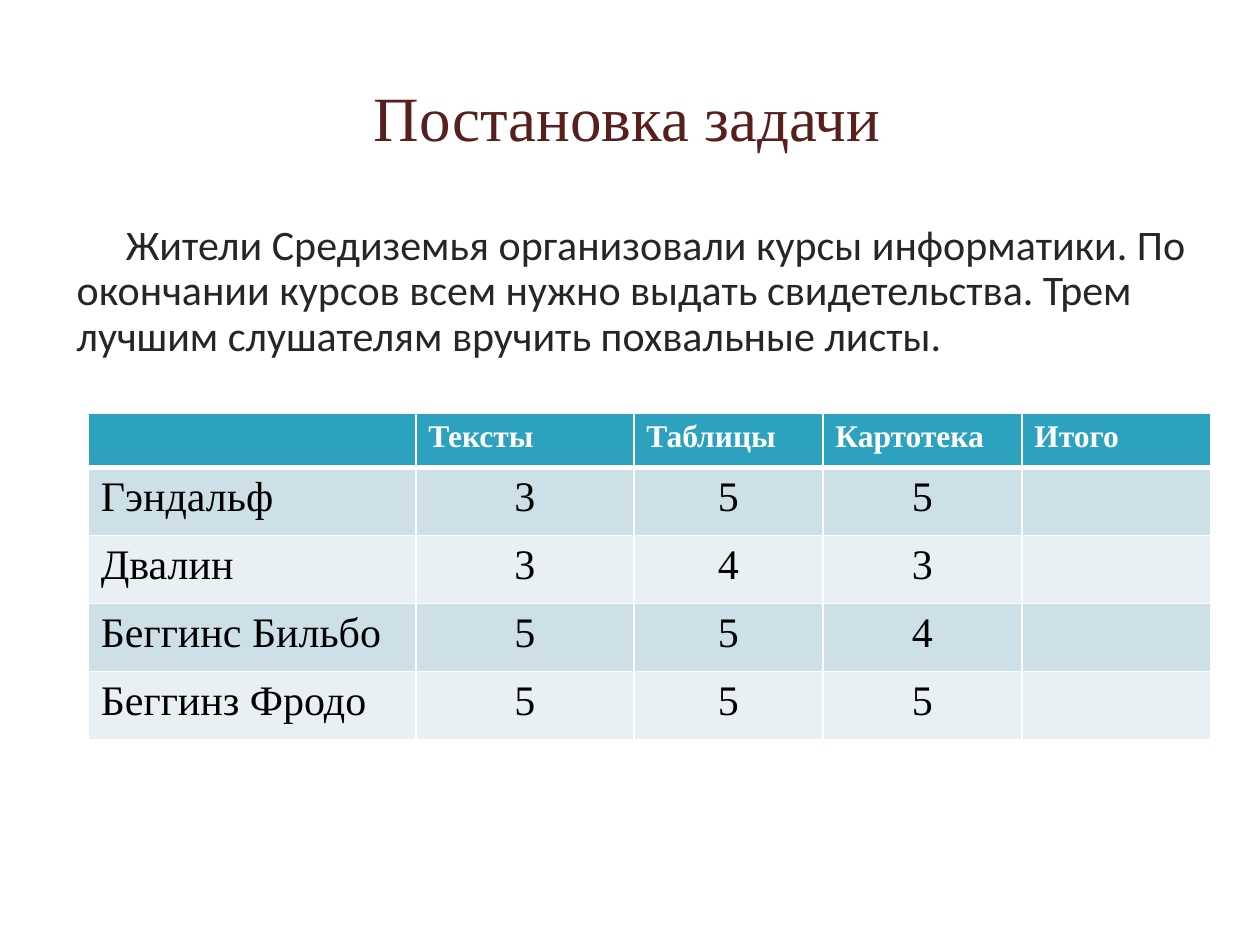
from dataclasses import dataclass

import lxml.etree
import pptx
import pptx.dml.color
import pptx.enum.text
import pptx.oxml.ns
import pptx.util

ALIGN = pptx.enum.text.PP_ALIGN
ANCHOR = pptx.enum.text.MSO_ANCHOR
SLIDE_WIDTH, SLIDE_HEIGHT = pptx.util.Inches(10), pptx.util.Inches(7.5)


@dataclass(frozen=True)
class Theme:
    heading_font: str = "Times New Roman"
    body_font: str = "Calibri"
    title_size: float = 36
    text_size: float = 24
    header_size: float = 18
    title: str = "57201F"
    text: str = "262626"
    header_text: str = "FFFFFF"
    score_text: str = "000000"
    header_fill: str = "2DA2BF"
    bands: tuple[str, str] = ("CDE0E8", "E8F0F4")
    border: str = "FFFFFF"
    thin: float = 1
    thick: float = 3


@dataclass(frozen=True)
class Area:
    """A rectangle in percent of the slide's width and height."""
    left: float
    top: float
    width: float
    height: float

    def emu(self) -> tuple[int, int, int, int]:
        return (int(SLIDE_WIDTH * self.left / 100), int(SLIDE_HEIGHT * self.top / 100),
                int(SLIDE_WIDTH * self.width / 100), int(SLIDE_HEIGHT * self.height / 100))


@dataclass(frozen=True)
class TextStyle:
    font: str
    size: float
    color: str
    bold: bool = False
    align: ALIGN = ALIGN.LEFT


@dataclass(frozen=True)
class Student:
    name: str
    scores: tuple[int, int, int]

    def row(self) -> list[str]:
        return [self.name, *map(str, self.scores), ""]


THEME = Theme()
TITLE = TextStyle(THEME.heading_font, THEME.title_size, THEME.title, align=ALIGN.CENTER)
TASK = TextStyle(THEME.body_font, THEME.text_size, THEME.text)
HEADER = TextStyle(THEME.heading_font, THEME.header_size, THEME.header_text, bold=True)
NAME = TextStyle(THEME.heading_font, THEME.text_size, THEME.score_text)
SCORE = TextStyle(THEME.heading_font, THEME.text_size, THEME.score_text, align=ALIGN.CENTER)

TITLE_AREA = Area(0.8, 4, 98, 16.67)
TASK_AREA = Area(5.1, 23.07, 92.5, 73.47)
TABLE_AREA = Area(7, 43.73, 89.1, 34.53)
COLUMN_SHARES = (26, 17.3, 15, 15.8, 15)
ROW_SHARES = (5.73, 7.2, 7.2, 7.2, 7.2)

COURSES = ["", "Тексты", "Таблицы", "Картотека", "Итого"]
STUDENTS = [
    Student("Гэндальф", (3, 5, 5)),
    Student("Двалин", (3, 4, 3)),
    Student("Беггинс Бильбо", (5, 5, 4)),
    Student("Беггинз Фродо", (5, 5, 5)),
]


def write(frame, text: str, style: TextStyle):
    frame.text = text
    paragraph = frame.paragraphs[0]
    paragraph.alignment = style.align
    for run in paragraph.runs:
        run.font.name = style.font
        run.font.size = pptx.util.Pt(style.size)
        run.font.bold = style.bold
        run.font.color.rgb = pptx.dml.color.RGBColor.from_string(style.color)
    return paragraph


def add_text(slide, area: Area, text: str, style: TextStyle, anchor: ANCHOR):
    frame = slide.shapes.add_textbox(*area.emu()).text_frame
    frame.word_wrap = True
    frame.vertical_anchor = anchor
    return write(frame, text, style)


def set_borders(cell, top: float, bottom: float) -> None:
    qn = pptx.oxml.ns.qn
    properties = cell._tc.get_or_add_tcPr()
    sides = {"lnL": THEME.thin, "lnR": THEME.thin, "lnT": top, "lnB": bottom}
    for side, width in sides.items():
        line = lxml.etree.SubElement(properties, qn(f"a:{side}"), w=str(pptx.util.Pt(width)))
        fill = lxml.etree.SubElement(line, qn("a:solidFill"))
        lxml.etree.SubElement(fill, qn("a:srgbClr"), val=THEME.border)


def add_scores(slide, area: Area, rows: list[list[str]]) -> None:
    table = slide.shapes.add_table(len(rows), len(COLUMN_SHARES), *area.emu()).table
    for column, share in zip(table.columns, COLUMN_SHARES):
        column.width = int(SLIDE_WIDTH * share / 100)
    for row, share in zip(table.rows, ROW_SHARES):
        row.height = int(SLIDE_HEIGHT * share / 100)
    for r, values in enumerate(rows):
        color = THEME.bands[(r - 1) % 2] if r else THEME.header_fill
        for c, value in enumerate(values):
            cell = table.cell(r, c)
            write(cell.text_frame, value, HEADER if r == 0 else SCORE if c else NAME)
            set_borders(cell, top=THEME.thick if r == 1 else THEME.thin,
                        bottom=THEME.thick if r == 0 else THEME.thin)
            cell.fill.solid()
            cell.fill.fore_color.rgb = pptx.dml.color.RGBColor.from_string(color)


def main() -> None:
    deck = pptx.Presentation()
    deck.slide_width, deck.slide_height = SLIDE_WIDTH, SLIDE_HEIGHT
    slide = deck.slides.add_slide(deck.slide_layouts[6])

    # Task description with an indented first line
    task = add_text(
        slide, TASK_AREA,
        "Жители Средиземья организовали курсы информатики. По окончании курсов всем нужно "
        "выдать свидетельства. Трем лучшим слушателям вручить похвальные листы.",
        TASK, ANCHOR.TOP)
    task.line_spacing = 0.9
    task._p.get_or_add_pPr().set("indent", str(pptx.util.Inches(0.39)))

    # Heading
    add_text(slide, TITLE_AREA, "Постановка задачи", TITLE, ANCHOR.MIDDLE)

    # Course scores
    add_scores(slide, TABLE_AREA, [COURSES, *(student.row() for student in STUDENTS)])

    deck.save("out.pptx")


if __name__ == "__main__":
    main()
